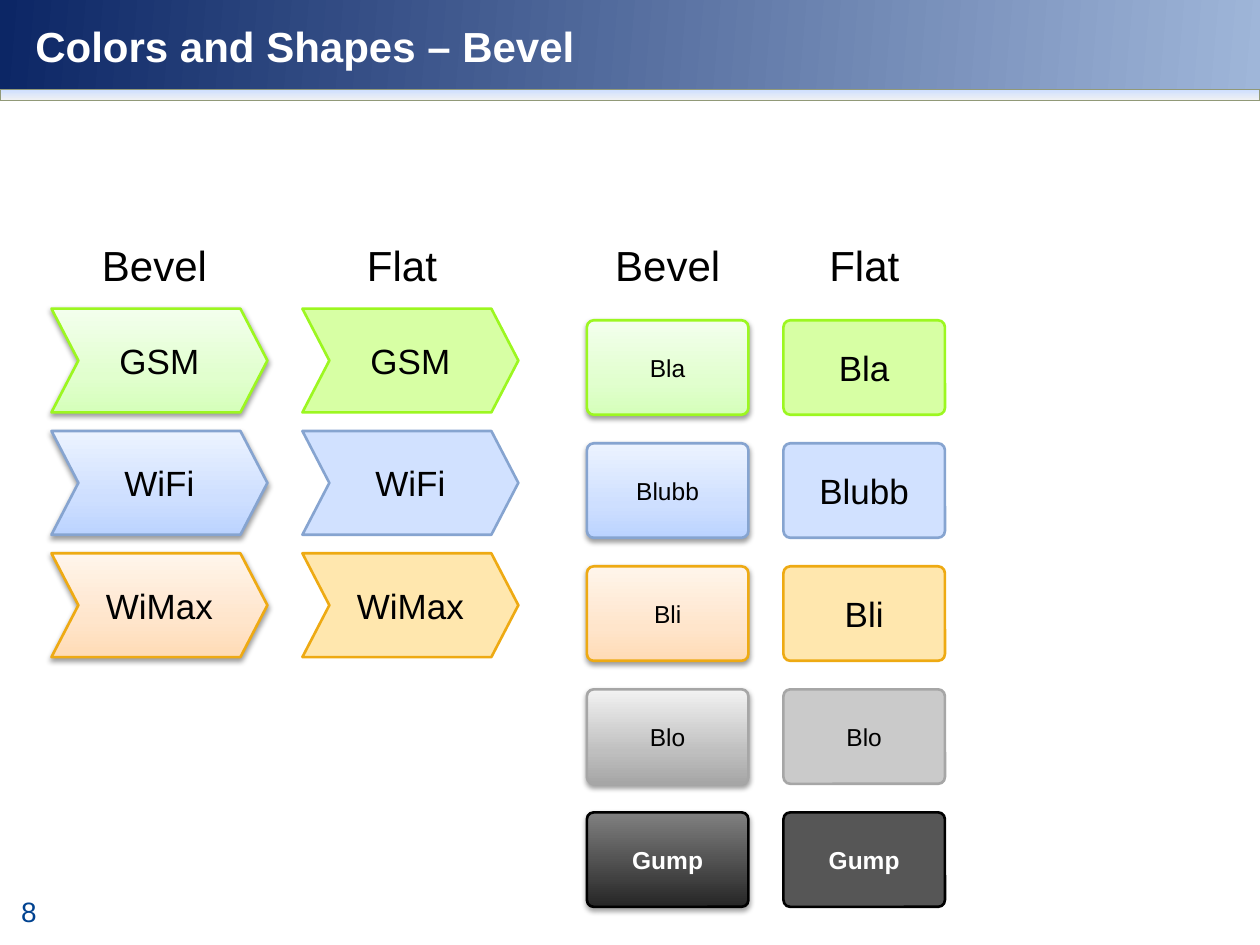
from lxml import etree
from pptx import Presentation
from pptx.dml.color import RGBColor
from pptx.enum.shapes import MSO_SHAPE
from pptx.enum.text import MSO_ANCHOR, PP_ALIGN
from pptx.oxml.ns import qn
from pptx.util import Pt

RECTANGLE, CHEVRON = MSO_SHAPE.RECTANGLE, MSO_SHAPE.CHEVRON
ROUNDED = MSO_SHAPE.ROUNDED_RECTANGLE
TOP, MIDDLE = MSO_ANCHOR.TOP, MSO_ANCHOR.MIDDLE
LEFT, CENTER = PP_ALIGN.LEFT, PP_ALIGN.CENTER
UPWARD = 90

THEME = {
    "font": "Arial", "white": "FFFFFF", "black": "000000", "number": "004290",
    "header": [(0, "0C2665"), (100, "9FB6D9")],
    "strip": [(0, "F2F2F2"), (100, "CEDFFF")], "strip_line": "919978",
    "heading_size": 24, "large": 20, "number_size": 16, "small": 14,
    "styles": {
        "green": {"line": "9CF720", "flat": "D7FFA4", "shadow": "000000",
                  "bevel": [(0, "D5FFBA"), (35, "E1FFCE"), (100, "F3FFED")]},
        "blue": {"line": "86A4D0", "flat": "D1E1FF", "shadow": "000000",
                 "bevel": [(0, "BBD3FF"), (35, "CEDFFF"), (100, "ECF3FF")]},
        "orange": {"line": "EEAA13", "flat": "FFE7AE", "shadow": "000000",
                   "bevel": [(0, "FFDBB5"), (35, "FFE5CB"), (100, "FFF5EB")]},
        "grey": {"line": "A6A6A6", "flat": "CACACA", "shadow": "000000",
                 "bevel": [(0, "A6A6A6"), (34, "BFBFBF"), (100, "F2F2F2")]},
        "dark": {"line": "000000", "flat": "565656", "shadow": "0D0D0D",
                 "bevel": [(0, "262626"), (100, "808080")]},
    },
}

TITLE = "Colors and Shapes – Bevel"
SLIDE_NUMBER = "8"
CHEVRONS = [("GSM", "green"), ("WiFi", "blue"), ("WiMax", "orange")]
BOXES = [("Bla", "green"), ("Blubb", "blue"), ("Bli", "orange"),
         ("Blo", "grey"), ("Gump", "dark")]

CHEVRON_GRID = {"kind": CHEVRON, "top": 176.4, "pitch": 69.9,
                "width": 123.4, "height": 59.3, "corner": 0.26}
BOX_GRID = {"kind": ROUNDED, "top": 183, "pitch": 70.3,
            "width": 92.3, "height": 54, "corner": 0.072}
# heading, heading centre, left edge, grid, items, finish, labels in large type
COLUMNS = [
    ("Bevel", 88.3, 29.4, CHEVRON_GRID, CHEVRONS, "bevel", 3),
    ("Flat", 229.7, 172.8, CHEVRON_GRID, CHEVRONS, "flat", 3),
    ("Bevel", 381.6, 335.4, BOX_GRID, BOXES, "bevel", 0),
    ("Flat", 493.9, 447.7, BOX_GRID, BOXES, "flat", 3),
]
HEADING = {"top": 133.2, "width": 75, "height": 36.4}


def apply_fill(shape, colours, angle):
    """Fill with one colour, or with a gradient when given a list of stops."""
    fill = shape.fill
    if isinstance(colours, str):
        fill.solid()
        fill.fore_color.rgb = RGBColor.from_string(colours)
        return
    fill.gradient()
    fill.gradient_angle = angle
    stops = shape.element.spPr.find(".//" + qn("a:gsLst"))
    for stop in list(stops):
        stops.remove(stop)
    for position, colour in colours:
        stop = etree.SubElement(stops, qn("a:gs"), pos=str(position * 1000))
        etree.SubElement(stop, qn("a:srgbClr"), val=colour)


def add_shadow(shape, colour):
    effects = shape.element.spPr.find(qn("a:effectLst"))
    shadow = etree.SubElement(
        effects, qn("a:outerShdw"), blurRad=str(Pt(3.1)), dist=str(Pt(1.6)),
        dir="5400000", rotWithShape="0")
    tint = etree.SubElement(shadow, qn("a:srgbClr"), val=colour)
    etree.SubElement(tint, qn("a:alpha"), val="38000")


def add_panel(slide, kind, bounds, colours, line=None, width=0.75, angle=UPWARD):
    shape = slide.shapes.add_shape(kind, *map(Pt, bounds))
    shape.shadow.inherit = False
    apply_fill(shape, colours, angle)
    if line:
        shape.line.color.rgb = RGBColor.from_string(line)
        shape.line.width = Pt(width)
    else:
        shape.line.fill.background()
    return shape


def write(shape, text, size, colour, bold=False, align=CENTER, anchor=MIDDLE, **frame_values):
    frame = shape.text_frame
    frame.text = text
    for name, value in {"word_wrap": False, "vertical_anchor": anchor, **frame_values}.items():
        setattr(frame, name, value)
    paragraph = frame.paragraphs[0]
    paragraph.alignment = align
    font = paragraph.runs[0].font
    for name, value in {"name": THEME["font"], "size": Pt(size), "bold": bold}.items():
        setattr(font, name, value)
    font.color.rgb = RGBColor.from_string(colour)


def add_frame(slide):
    """Draw the header, the slide number and the title above them."""
    add_panel(slide, RECTANGLE, (0, 0, 720, 66.2), THEME["header"], angle=355)
    add_panel(slide, RECTANGLE, (0, 52.6, 720, 487.4), THEME["white"])
    add_panel(slide, RECTANGLE, (0, 51.1, 720, 6.5), THEME["strip"], THEME["strip_line"])
    number = slide.shapes.add_textbox(Pt(5), Pt(507.6), Pt(27.4), Pt(26.6))
    write(number, SLIDE_NUMBER, THEME["number_size"], THEME["number"],
          align=LEFT, anchor=TOP, margin_right=0)
    title = slide.shapes.title
    bounds = {"left": 13, "top": 7.9, "width": 689.8, "height": 36}
    for name, value in bounds.items():
        setattr(title, name, Pt(value))
    write(title, TITLE, THEME["heading_size"], THEME["white"], True, LEFT, word_wrap=True)
    title.element.getparent().append(title.element)


def add_column(slide, heading, centre, left, grid, items, finish, large_count):
    for row, (label, style_name) in enumerate(items):
        style = THEME["styles"][style_name]
        bounds = (left, grid["top"] + row * grid["pitch"], grid["width"], grid["height"])
        shape = add_panel(slide, grid["kind"], bounds, style[finish], style["line"], 1.5)
        shape.adjustments[0] = grid["corner"]
        if finish == "bevel":
            add_shadow(shape, style["shadow"])
        dark = style_name == "dark"
        write(shape, label, THEME["large" if row < large_count else "small"],
              THEME["white" if dark else "black"], dark)
    box = slide.shapes.add_textbox(
        Pt(centre - HEADING["width"] / 2), Pt(HEADING["top"]),
        Pt(HEADING["width"]), Pt(HEADING["height"]))
    write(box, heading, THEME["heading_size"], THEME["black"], anchor=TOP)


def main():
    presentation = Presentation()
    presentation.slide_width, presentation.slide_height = Pt(720), Pt(540)
    slide = presentation.slides.add_slide(presentation.slide_layouts[5])
    add_frame(slide)
    for column in COLUMNS:
        add_column(slide, *column)
    presentation.save("out.pptx")


if __name__ == "__main__":
    main()
